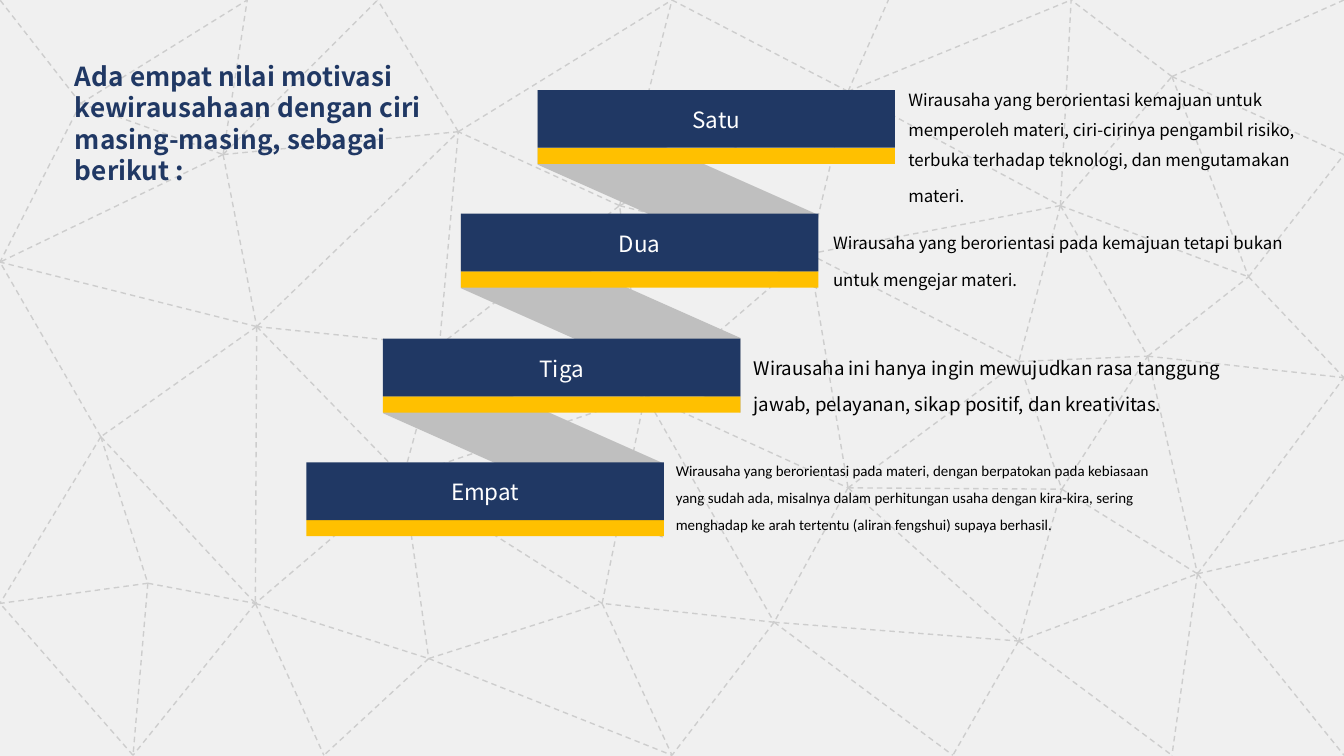
from dataclasses import dataclass

from lxml import etree
from pptx import Presentation
from pptx import util as u
from pptx.dml.color import RGBColor
from pptx.enum import dml, shapes, text
from pptx.oxml.ns import qn

EMU_PER_PX = 9144  # 100 px to the inch
COLORS = {
    "paper": "F0F0F0", "mesh": "CDCDCD", "fold": "BFBFBF", "navy": "203864",
    "gold": "FFC000", "white": "FFFFFF", "black": "000000",
}
SANS = "Noto Sans CJK SC"

# Mesh: points by letter, then the neighbours each point is joined to
MESH_POINTS = {
    "A": (184, 0), "B": (166, 115), "C": (0, 195), "D": (281, 0), "E": (341, 98),
    "F": (191, 243), "G": (327, 257), "H": (300, 355), "I": (190, 449), "J": (75, 325),
    "K": (0, 449), "L": (110, 434), "M": (99, 562), "N": (319, 490), "O": (241, 562),
    "P": (448, 449), "Q": (500, 562), "R": (480, 294), "S": (461, 153), "T": (500, 0),
    "U": (631, 68), "V": (602, 189), "W": (631, 363), "X": (576, 463), "Y": (661, 0),
    "Z": (789, 153), "a": (758, 269), "b": (790, 364), "c": (758, 477), "d": (709, 562),
    "e": (872, 562), "f": (854, 265), "g": (872, 57), "h": (797, 0), "i": (1000, 0),
    "j": (1000, 115), "k": (929, 206), "l": (1000, 281), "m": (891, 427),
    "n": (1000, 562), "o": (1000, 402), "p": (60, 77), "q": (0, 0),
}
MESH_LINKS = {
    "B": "ACDEF", "F": "ECGHIJ", "G": "HERS", "H": "INPR", "J": "ICKL", "L": "KIM",
    "I": "MKNO", "M": "K", "N": "OPQ", "P": "QR", "R": "SWXV", "S": "ETUV", "E": "DT",
    "T": "U", "U": "VYZh", "V": "WZa", "W": "Xabc", "X": "PQdc", "Z": "afghk",
    "a": "bf", "b": "cmf", "c": "dem", "f": "klm", "g": "hijk", "k": "jl",
    "m": "lneo", "p": "ABCq",
}
MESH_LINKS["I"] = "MNO"  # the left edge point K is reached through J, L and M


@dataclass(frozen=True)
class Box:
    left: int
    top: int
    width: int
    height: int


@dataclass(frozen=True)
class Style:
    size: int
    color: str = "black"
    font: str = SANS
    bold: bool = False


@dataclass(frozen=True)
class Step:
    label: str
    description: str
    box: Box
    style: Style
    end_size: int = 0  # size of the closing space, which opens up the last line


STEPS = [
    Step("Satu", "Wirausaha yang berorientasi kemajuan untuk memperoleh materi, "
         "ciri-cirinya pengambil risiko, terbuka terhadap teknologi, dan "
         "mengutamakan materi.", Box(666, 54, 311, 93), Style(9), 11),
    Step("Dua", "Wirausaha yang berorientasi pada kemajuan tetapi bukan untuk "
         "mengejar materi.", Box(610, 161, 367, 52), Style(9), 11),
    Step("Tiga", "Wirausaha ini hanya ingin mewujudkan rasa tanggung jawab, "
         "pelayanan, sikap positif, dan kreativitas.",
         Box(551, 252, 385, 57), Style(10), 11),
    Step("Empat", "Wirausaha yang berorientasi pada materi, dengan berpatokan pada "
         "kebiasaan yang sudah ada, misalnya dalam perhitungan usaha dengan "
         "kira-kira, sering menghadap ke arah tertentu (aliran fengshui) supaya "
         "berhasil.", Box(493, 332, 396, 68), Style(8, font="Calibri")),
]


def px(length: int) -> u.Emu:
    return u.Emu(length * EMU_PER_PX)


def rgb(name: str) -> RGBColor:
    return RGBColor.from_string(COLORS[name])


def place(box: Box) -> tuple:
    return px(box.left), px(box.top), px(box.width), px(box.height)


def add_block(parent, kind, box: Box, color: str):
    shape = parent.add_shape(kind, *place(box))
    shape.shadow.inherit = False
    shape.fill.solid()
    shape.fill.fore_color.rgb = rgb(color)
    shape.line.fill.background()
    return shape


def add_run(paragraph, content: str, style: Style, size: int = 0) -> None:
    run = paragraph.add_run()
    run.text = content
    run.font.name = style.font
    run.font.size = u.Pt(size or style.size)
    run.font.bold = style.bold
    run.font.color.rgb = rgb(style.color)


def add_text(parent, box: Box, content: str, style: Style):
    frame = parent.add_textbox(*place(box)).text_frame
    frame.word_wrap = True
    frame.auto_size = text.MSO_AUTO_SIZE.SHAPE_TO_FIT_TEXT
    paragraph = frame.paragraphs[0]
    add_run(paragraph, content, style)
    return paragraph


def add_mesh_line(parent, start: str, end: str) -> None:
    ends = (px(value) for value in MESH_POINTS[start] + MESH_POINTS[end])
    line = parent.add_connector(shapes.MSO_CONNECTOR.STRAIGHT, *ends)
    line.line.color.rgb = rgb("mesh")
    line.line.width = u.Pt(0.75)
    line.line.dash_style = dml.MSO_LINE.DASH
    etree.SubElement(line._element.spPr, qn("a:effectLst"))


def step_corner(index: int) -> tuple[int, int]:
    return 400 - round(57.4 * index), 67 + round(92.4 * index)


def add_fold(parent, index: int) -> None:
    left, top = step_corner(index)
    fold = add_block(parent, shapes.MSO_SHAPE.PARALLELOGRAM,
                     Box(left + 30, top - 30, 148, 208), "fold")
    fold.rotation = 90
    fold.adjustments[0] = 0.625


def add_step(parent, index: int, step: Step) -> None:
    left, top = step_corner(index)
    bar = parent.add_group_shape().shapes
    rectangle = shapes.MSO_SHAPE.RECTANGLE
    add_block(bar, rectangle, Box(left, top + 43, 266, 12), "gold")
    add_block(bar, rectangle, Box(left, top, 266, 43), "navy")
    label = add_text(bar, Box(left + 16, top + 7, 234, 30), step.label,
                     Style(12, "white"))
    label.alignment = text.PP_ALIGN.CENTER
    description = add_text(parent, step.box, step.description, step.style)
    description.line_spacing = 1.5
    if step.end_size:
        add_run(description, " ", step.style, step.end_size)


def main() -> None:
    presentation = Presentation()
    presentation.slide_width = px(1000)
    presentation.slide_height = px(1000) * 9 // 16
    slide = presentation.slides.add_slide(presentation.slide_layouts[6])

    # Backdrop and dashed mesh
    backdrop = add_block(slide.shapes, shapes.MSO_SHAPE.RECTANGLE,
                         Box(0, 0, 1000, 562), "paper")
    backdrop.height = presentation.slide_height
    mesh = slide.shapes.add_group_shape().shapes
    for start, neighbours in MESH_LINKS.items():
        for end in neighbours:
            add_mesh_line(mesh, start, end)

    # Grey folds behind the staircase
    for index in range(len(STEPS) - 1):
        add_fold(slide.shapes, index)

    # Steps with their descriptions
    for index, step in enumerate(STEPS):
        add_step(slide.shapes, index, step)

    # Title
    add_text(slide.shapes, Box(46, 40, 293, 99),
             "Ada empat nilai motivasi kewirausahaan dengan ciri masing-masing, "
             "sebagai berikut :", Style(14, "navy", bold=True))

    presentation.save("out.pptx")


if __name__ == "__main__":
    main()
